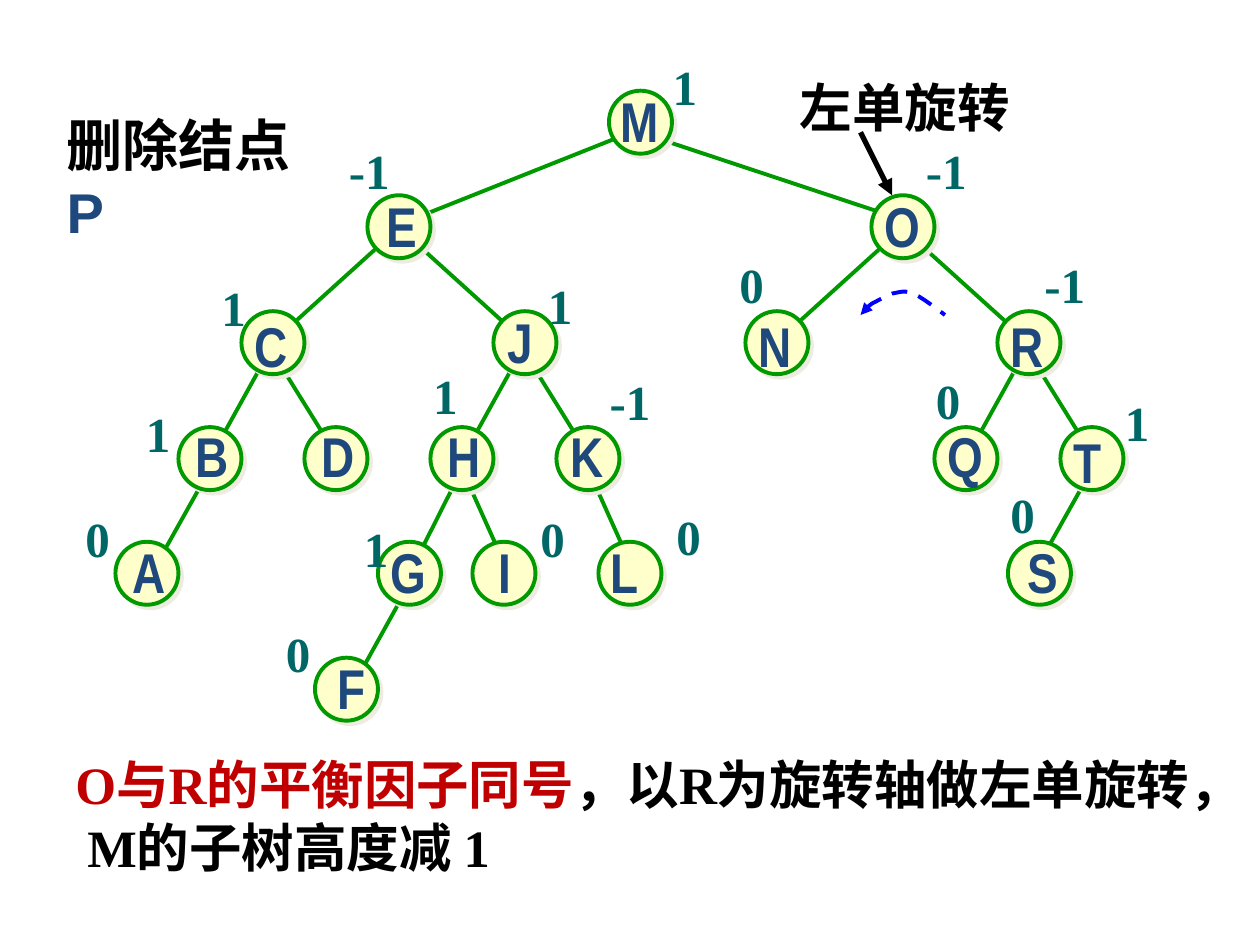
from pptx import Presentation
from pptx.dml.color import RGBColor
from pptx.enum.dml import MSO_LINE
from pptx.enum.shapes import MSO_CONNECTOR, MSO_SHAPE
from pptx.enum.text import MSO_AUTO_SIZE
from pptx.oxml.ns import qn
from pptx.util import Inches, Pt
from lxml import etree

STRAIGHT, OVAL = MSO_CONNECTOR.STRAIGHT, MSO_SHAPE.OVAL
DASH, GROW = MSO_LINE.DASH, MSO_AUTO_SIZE.SHAPE_TO_FIT_TEXT

GREEN = RGBColor(0x00, 0x99, 0x00)
CREAM = RGBColor(0xFF, 0xFF, 0xCC)
NAVY = RGBColor(0x1F, 0x49, 0x7D)
TEAL = RGBColor(0x00, 0x66, 0x66)
RED = RGBColor(0xC0, 0x00, 0x00)
BLUE = RGBColor(0x00, 0x00, 0xFF)
BLACK = RGBColor(0x00, 0x00, 0x00)

# Tree grid: columns in twelfths of an inch, one centre height per level
UNIT = 1 / 12
LEVELS = [0.97, 1.8, 2.72, 3.64, 4.55, 5.47]
DIAMETER = 0.5

# key: column, level, letter box (left, top, width)
NODES = {
    "A": (14, 4, (0.95, 4.22, 0.47)), "B": (20, 3, (1.45, 3.3, 0.47)),
    "C": (26, 2, (1.92, 2.42, 0.47)), "D": (32, 3, (2.45, 3.3, 0.47)),
    "E": (38, 1, (2.97, 1.47, 0.44)), "F": (33, 5, (2.58, 5.14, 0.42)),
    "G": (39, 4, (3, 4.22, 0.48)), "H": (44, 3, (3.45, 3.3, 0.47)),
    "I": (48, 4, (3.86, 4.22, 0.3)), "J": (50, 2, (3.93, 2.39, 0.4)),
    "K": (56, 3, (4.43, 3.3, 0.47)), "L": (60, 4, (4.75, 4.22, 0.42)),
    "M": (61, 0, (4.83, 0.64, 0.51)), "N": (74, 2, (5.92, 2.42, 0.47)),
    "O": (86, 1, (6.92, 1.47, 0.48)), "Q": (92, 3, (7.42, 3.3, 0.48)),
    "R": (98, 2, (7.92, 2.42, 0.47)), "S": (99, 4, (8.06, 4.22, 0.44)),
    "T": (104, 3, (8.42, 3.34, 0.42)),
}

# parent end offset, child end offset (grid units): edges as parent + child
EDGES = [
    ((-1, 1), (2, -1), ["ME"]),
    ((0, 1), (-1, -1), ["MO"]),
    ((-1, 1), (1, -1), ["EC", "ON"]),
    ((1, 1), (-1, -1), ["EJ"]),
    ((2, 2), (0, 0), ["OR"]),
    ((-1, 2), (0, 0), ["CB", "JH", "RQ"]),
    ((0, 1), (-1, -2), ["CD", "JK", "RT"]),
    ((0, 1), (1, -1), ["BA", "GF"]),
    ((0, 1), (0, 0), ["HG"]),
    ((0, 1), (0, -1), ["HI", "KL", "TS"]),
]

# balance factor: box corners (left, top)
BALANCES = {
    "0": [(0.58, 3.99), (2.17, 4.9), (4.19, 3.99), (5.27, 3.97),
          (7.33, 2.89), (7.92, 3.8), (5.77, 1.97)],
    "1": [(8.83, 3.07), (5.24, 0.4), (4.25, 2.14), (1.66, 2.15),
          (1.06, 3.15), (2.79, 4.07), (3.34, 2.85)],
    "-1": [(4.74, 2.9), (8.19, 1.97), (7.25, 1.07), (2.67, 1.07)],
}

# rotation arc: start point, then cubic Bezier segments
ARC_START = (6.83, 2.5)
ARC = [
    ((6.85, 2.47), (6.88, 2.44), (6.92, 2.41)),
    ((6.96, 2.39), (7.03, 2.35), (7.08, 2.33)),
    ((7.14, 2.32), (7.18, 2.3), (7.25, 2.33)),
    ((7.32, 2.36), (7.46, 2.47), (7.5, 2.5)),
]
ARC_STEPS = 6

LETTER = dict(name="Arial Narrow", size=Pt(32), bold=True)
FACTOR = dict(name="Times New Roman", size=Pt(28), bold=True)
TITLE = dict(name="Arial", size=Pt(32), bold=True)
CALLOUT = dict(name="Arial", size=Pt(30), bold=True)
BODY = dict(name="Times New Roman", size=Pt(30), bold=True)

prs = Presentation()
prs.slide_width, prs.slide_height = Inches(10), Inches(7.5)
shapes = prs.slides.add_slide(prs.slide_layouts[6]).shapes


def add_text(runs, box, style, wrap=False):
    tb = shapes.add_textbox(*map(Inches, box))
    tf = tb.text_frame
    tf.word_wrap, tf.auto_size = wrap, GROW
    for text, color in runs:
        r = tf.paragraphs[0].add_run()
        r.text = text
        for key, value in style.items():
            setattr(r.font, key, value)
        r.font.color.rgb = color


def add_line(start, end, color, width):
    ln = shapes.add_connector(STRAIGHT, *map(Inches, (*start, *end)))
    ln.line.color.rgb, ln.line.width = color, Pt(width)
    etree.SubElement(ln._element.spPr, qn("a:effectLst"))
    return ln


def add_arrowhead(shape, end):
    etree.SubElement(shape.line._get_or_add_ln(), qn(end), type="triangle")


def add_shadow(shape):
    effects = shape._element.spPr.find(qn("a:effectLst"))
    shadow = etree.SubElement(effects, qn("a:outerShdw"), blurRad="0",
                              dist=str(Pt(2.8)), dir="2700000", algn="ctr", rotWithShape="0")
    etree.SubElement(shadow, qn("a:srgbClr"), val="EEECE1")


def center(key, offset=(0, 0)):
    col, level, _ = NODES[key]
    return (col + offset[0]) * UNIT, LEVELS[level] + offset[1] * UNIT


def bezier(points, t):
    weights = ((1 - t) ** 3, 3 * t * (1 - t) ** 2, 3 * t ** 2 * (1 - t), t ** 3)
    return tuple(Inches(sum(w * p[axis] for w, p in zip(weights, points))) for axis in (0, 1))


# Heading
add_text([("删除结点", BLACK), ("P", NAVY)], (0.43, 0.83, 2.26, 0.63), TITLE, wrap=True)

# Tree edges
for parent_offset, child_offset, pairs in EDGES:
    for parent, child in pairs:
        add_line(center(parent, parent_offset), center(child, child_offset), GREEN, 2.25)

# Node circles
for key in NODES:
    x, y = center(key)
    s = shapes.add_shape(OVAL, Inches(x - DIAMETER / 2), Inches(y - DIAMETER / 2),
                         Inches(DIAMETER), Inches(DIAMETER))
    s.shadow.inherit = False
    s.fill.solid()
    s.fill.fore_color.rgb = CREAM
    s.line.color.rgb, s.line.width = GREEN, Pt(2.25)
    add_shadow(s)

# Node letters and balance factors
for key, (_, _, (left, top, width)) in NODES.items():
    add_text([(key, NAVY)], (left, top, width, 0.63), LETTER)
for factor, corners in BALANCES.items():
    for corner in corners:
        add_text([(factor, TEAL)], (*corner, 0.4 if len(factor) == 1 else 0.53, 0.57), FACTOR)

# Rotation callout, pointer and dashed arc
add_arrowhead(add_line((6.83, 1.05), (7.08, 1.55), BLACK, 3), "a:tailEnd")
points, start = [], ARC_START
for segment in ARC:
    points += [bezier((start, *segment), i / ARC_STEPS) for i in range(1, ARC_STEPS + 1)]
    start = segment[-1]
fb = shapes.build_freeform(*map(Inches, ARC_START))
fb.add_line_segments(points, close=False)
arc = fb.convert_to_shape()
arc.shadow.inherit = False
arc.fill.background()
arc.line.color.rgb, arc.line.width, arc.line.dash_style = BLUE, Pt(2.25), DASH
add_arrowhead(arc, "a:headEnd")
add_text([("左单旋转", BLACK)], (6.25, 0.55, 1.89, 0.61), CALLOUT)

# Explanation
add_text([("O与R的平衡因子同号", RED), ("，以R为旋转轴做左单旋转， M的子树高度减 1", BLACK)],
         (0.5, 5.92, 9.3, 1.1), BODY, wrap=True)

prs.save("out.pptx")
